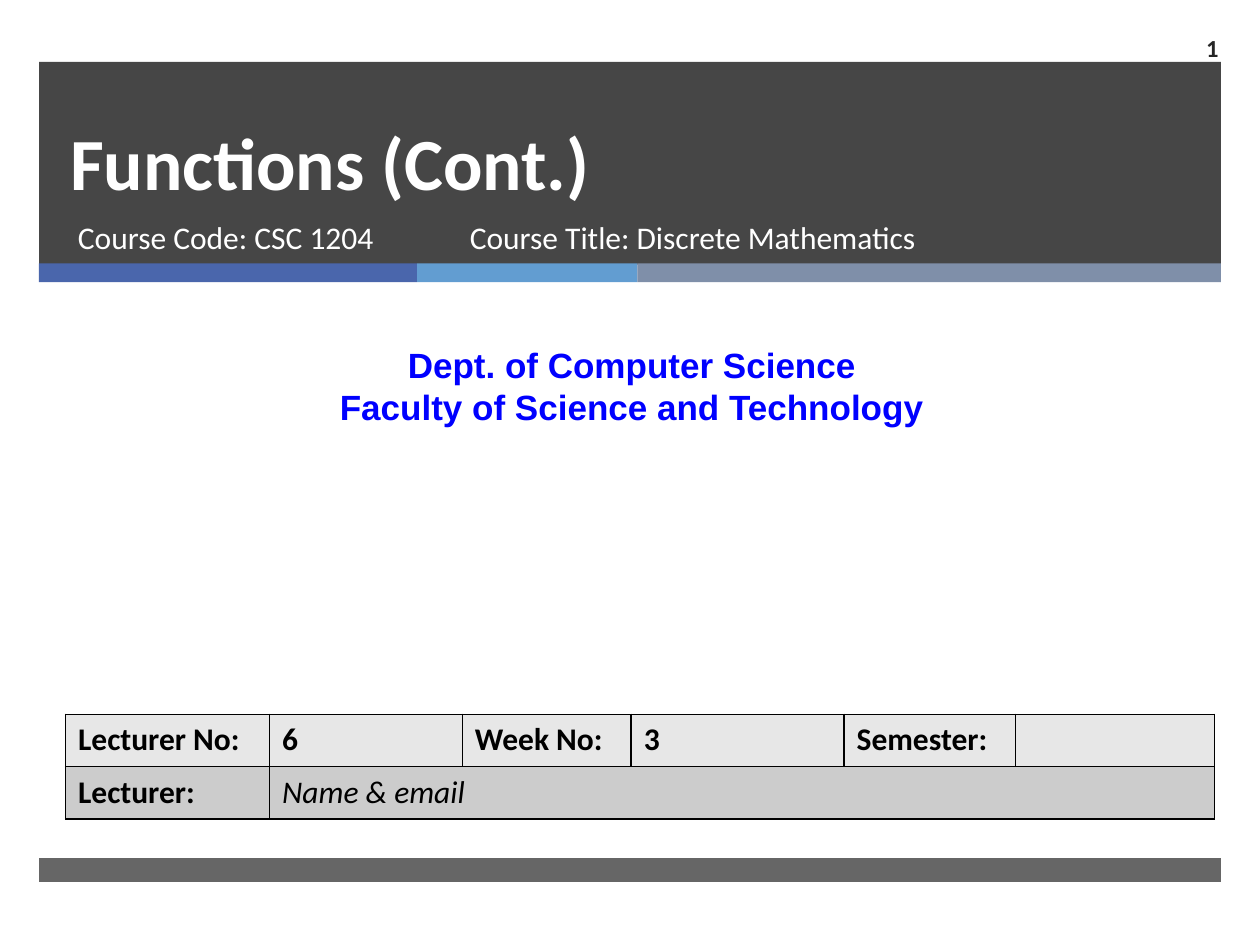
from dataclasses import dataclass

from lxml import etree
from pptx import Presentation
from pptx import util as u
from pptx.dml.color import RGBColor
from pptx.enum import shapes, text
from pptx.oxml import ns

PX = u.Inches(1) // 100  # 100 px to the inch

DARK = RGBColor(0x26, 0x26, 0x26)
NAVY = RGBColor(0x4A, 0x66, 0xAC)
SKY = RGBColor(0x62, 0x9D, 0xD1)
SLATE = RGBColor(0x7F, 0x8F, 0xA9)
BLUE = RGBColor(0x00, 0x00, 0xFF)
WHITE = RGBColor(0xFF, 0xFF, 0xFF)
BLACK = RGBColor(0x00, 0x00, 0x00)
PALE = RGBColor(0xE7, 0xE7, 0xE7)
GREY = RGBColor(0xCC, 0xCC, 0xCC)

LEFT, RIGHT = text.PP_ALIGN.LEFT, text.PP_ALIGN.RIGHT
MID = text.PP_ALIGN.CENTER
TOP = text.MSO_ANCHOR.TOP


@dataclass
class Box:
    x: int
    y: int
    w: int
    h: int

    def emu(self) -> list[int]:
        return [n * PX for n in (self.x, self.y, self.w, self.h)]


@dataclass
class Bar:
    box: Box
    fill: RGBColor
    alpha: int = 100


BARS = [
    Bar(Box(31, 49, 938, 161), DARK, 85),
    Bar(Box(31, 209, 300, 15), NAVY),
    Bar(Box(331, 209, 175, 15), SKY),
    Bar(Box(506, 209, 463, 15), SLATE),
    Bar(Box(31, 681, 938, 19), DARK, 70),
]

COLS = [162, 153, 134, 169, 136, 158]
ROWS = [
    (PALE, ["Lecturer No:", "6", "Week No:", "3", "Semester:", ""]),
    (GREY, ["Lecturer:", "Name & email"]),
]


def add_bar(slide, bar: Bar) -> None:
    shape = slide.shapes.add_shape(shapes.MSO_SHAPE.RECTANGLE, *bar.box.emu())
    shape.shadow.inherit = False
    shape.line.fill.background()
    shape.fill.solid()
    shape.fill.fore_color.rgb = bar.fill
    if bar.alpha < 100:
        tint = next(shape.fill._xPr.iter(ns.qn("a:srgbClr")))
        etree.SubElement(tint, ns.qn("a:alpha"), val=str(bar.alpha * 1000))


def write(frame, words: str, *, size: int = 18, color: RGBColor = WHITE,
          font: str = "Calibri", bold: bool = False, slant: bool = False,
          align=LEFT, anchor=None, lead: int | None = None) -> None:
    """Fill a text frame, one paragraph for each line of words."""
    frame.word_wrap = True
    if anchor is not None:
        frame.vertical_anchor = anchor
    for i, line in enumerate(words.split("\n")):
        para = frame.add_paragraph() if i else frame.paragraphs[0]
        para.alignment = align
        if lead:
            para.line_spacing = u.Pt(lead)
        run = para.add_run()
        run.text = line
        run.font.name, run.font.size = font, u.Pt(size)
        run.font.bold, run.font.italic = bold, slant
        run.font.color.rgb = color


def add_text(slide, box: Box, words: str, **form) -> None:
    frame = slide.shapes.add_textbox(*box.emu()).text_frame
    write(frame, words, **{"anchor": TOP, **form})


def edge(cell) -> None:
    """Draw a thin black line on all four sides of a cell."""
    props = cell._tc.get_or_add_tcPr()
    for i, side in enumerate(("lnL", "lnR", "lnT", "lnB")):
        line = etree.Element(ns.qn(f"a:{side}"), w=str(u.Pt(1)))
        fill = etree.SubElement(line, ns.qn("a:solidFill"))
        etree.SubElement(fill, ns.qn("a:srgbClr"), val=str(BLACK))
        props.insert(i, line)


def add_grid(slide, box: Box) -> None:
    frame = slide.shapes.add_table(len(ROWS), len(COLS), *box.emu())
    table = frame.table
    for col, wide in zip(table.columns, COLS):
        col.width = wide * PX
    for r, (fill, words) in enumerate(ROWS):
        table.rows[r].height = box.h * PX // len(ROWS)
        for c in range(len(COLS)):
            cell = table.cell(r, c)
            cell.fill.solid()
            cell.fill.fore_color.rgb = fill
            edge(cell)
            if c < len(words) and words[c]:
                name = (r, c) == (1, 1)
                write(cell.text_frame, words[c], color=BLACK,
                      bold=not name, slant=name)
    table.cell(1, 1).merge(table.cell(1, len(COLS) - 1))


def main() -> None:
    deck = Presentation()
    deck.slide_width, deck.slide_height = 1000 * PX, 750 * PX
    slide = deck.slides.add_slide(deck.slide_layouts[6])

    # Header band, stripes and footer
    for bar in BARS:
        add_bar(slide, bar)

    # Title and course
    add_text(slide, Box(46, 49, 854, 119), "Functions (Cont.)", size=42,
             bold=True, anchor=text.MSO_ANCHOR.BOTTOM, lead=46)
    add_text(slide, Box(52, 168, 305, 53), "Course Code: CSC 1204")
    add_text(slide, Box(363, 168, 455, 53),
             "Course Title: Discrete Mathematics")

    # Department
    add_text(slide, Box(8, 268, 987, 77),
             "Dept. of Computer Science\nFaculty of Science and Technology",
             size=20, font="Arial", color=BLUE, bold=True, align=MID)

    # Lecture details
    add_grid(slide, Box(52, 567, sum(COLS), 83))

    # Page number
    add_text(slide, Box(908, 18, 69, 39), "1", size=14, color=DARK,
             bold=True, align=RIGHT, anchor=text.MSO_ANCHOR.MIDDLE)

    deck.save("out.pptx")


if __name__ == "__main__":
    main()
